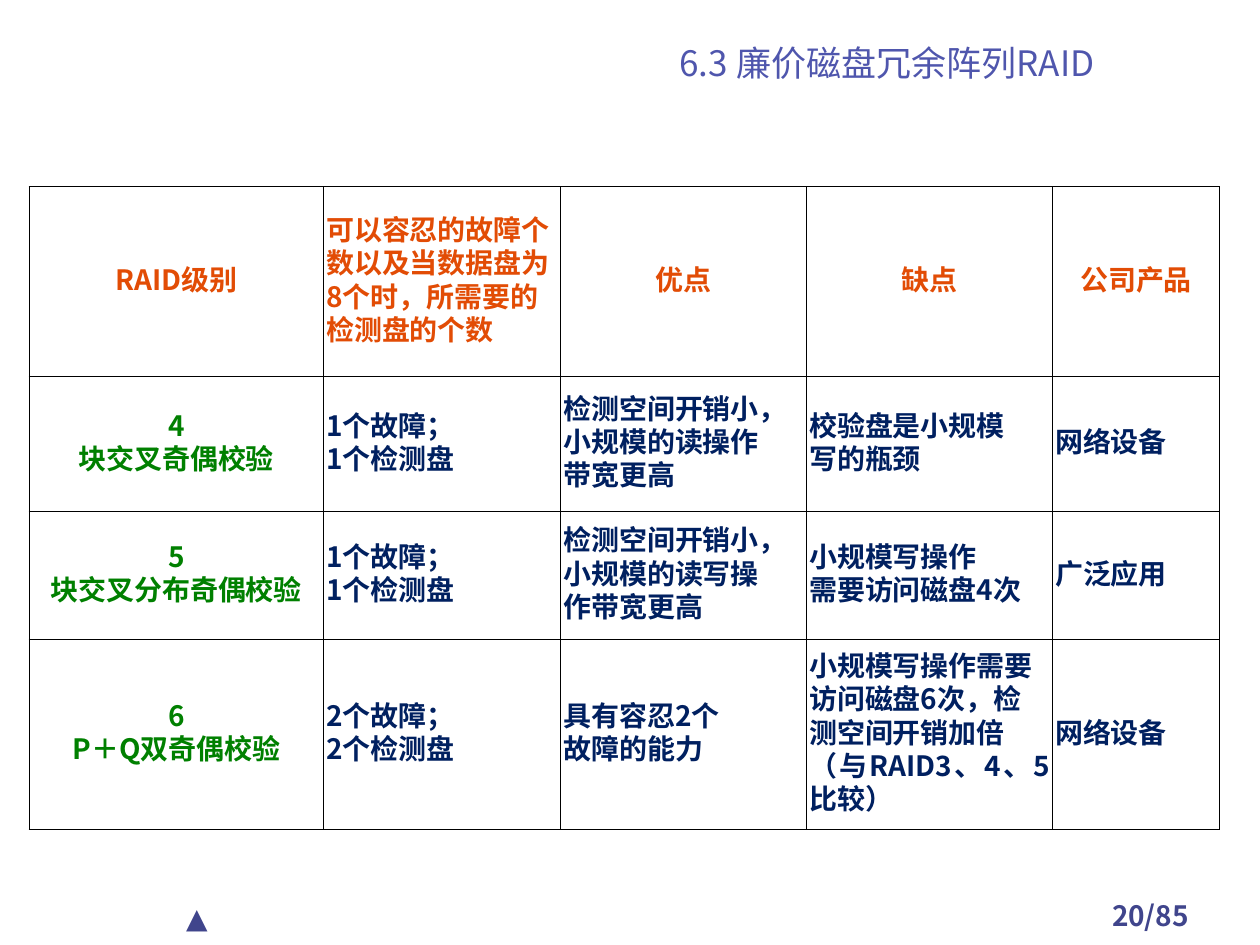
from typing import NamedTuple

from lxml.etree import SubElement as Sub
from pptx import Presentation
from pptx.dml.color import RGBColor
from pptx.enum.text import MSO_ANCHOR as Anchor, PP_ALIGN as Align
from pptx.oxml.ns import qn
from pptx.util import Pt

NAVY = RGBColor(0x00, 0x20, 0x60)
GREEN = RGBColor(0x00, 0x80, 0x00)
ORANGE = RGBColor(0xE2, 0x4C, 0x05)
BLUE = RGBColor(0x4F, 0x56, 0xAD)
INDIGO = RGBColor(0x40, 0x45, 0x8C)
BLACK = RGBColor(0, 0, 0)
NOTO = "Noto Sans CJK SC"

COLS = (168.5, 135.5, 140.5, 140.5, 95.5)
ROWS = (108.5, 77, 73.25, 108.5)
CELLS = (
    ("RAID级别", "可以容忍的故障个\n数以及当数据盘为\n8个时，所需要的\n检测盘的个数",
     "优点", "缺点", "公司产品"),
    ("4\n块交叉奇偶校验", "1个故障；\n1个检测盘",
     "检测空间开销小，\n小规模的读操作\n带宽更高",
     "校验盘是小规模\n写的瓶颈", "网络设备"),
    ("5\n块交叉分布奇偶校验", "1个故障；\n1个检测盘",
     "检测空间开销小，\n小规模的读写操\n作带宽更高",
     "小规模写操作\n需要访问磁盘4次", "广泛应用"),
    ("6\nP＋Q双奇偶校验", "2个故障；\n2个检测盘",
     "具有容忍2个\n故障的能力",
     "小规模写操作需要\n访问磁盘6次，检\n测空间开销加倍\n（与RAID3、4、5比较）", "网络设备"),
)


class Look(NamedTuple):
    color: RGBColor
    size: float = 16
    bold: bool = False
    face: str = NOTO
    align: Align = Align.CENTER
    lead: float | None = None


class Label(NamedTuple):
    text: str
    left: float
    top: float
    width: float
    height: float
    look: Look
    inset: float = 3.6
    anchor: Anchor = Anchor.TOP


LABELS = (
    Label("20/85", 606.25, 509.75, 102.25, 24, Look(INDIGO, bold=True)),
    Label("▲", 99.25, 511.25, 102.25, 26.5,
          Look(INDIGO, face="Cabin", align=Align.LEFT)),
    Label("6.3 廉价磁盘冗余阵列RAID", 306, 19.5, 401.75, 30.25,
          Look(BLUE, size=20), 2, Anchor.BOTTOM),
)


def put(frame, text: str, look: Look) -> None:
    """Write one paragraph per line of text."""
    frame.text = text
    for para in frame.paragraphs:
        para.alignment = look.align
        if look.lead:
            para.line_spacing = Pt(look.lead)
        for run in para.runs:
            style = {"size": Pt(look.size), "bold": look.bold, "name": look.face}
            for key, value in style.items():
                setattr(run.font, key, value)
            run.font.color.rgb = look.color
            Sub(run.font._element, qn("a:ea"), typeface=look.face)


def draw_label(slide, item: Label) -> None:
    box = slide.shapes.add_textbox(
        Pt(item.left), Pt(item.top), Pt(item.width), Pt(item.height))
    style = {"word_wrap": True, "vertical_anchor": item.anchor,
             "margin_top": Pt(item.inset), "margin_bottom": Pt(item.inset)}
    for key, value in style.items():
        setattr(box.text_frame, key, value)
    put(box.text_frame, item.text, item.look)


def edge(cell) -> None:
    """Rule all four sides of a cell."""
    props = cell._tc.get_or_add_tcPr()
    for spot, side in enumerate(("lnL", "lnR", "lnT", "lnB")):
        line = Sub(props, qn(f"a:{side}"), w=str(Pt(0.45)))
        Sub(Sub(line, qn("a:solidFill")), qn("a:srgbClr"), val=str(BLACK))
        props.insert(spot, line)


def cell_look(row: int, col: int) -> Look:
    color = ORANGE if row == 0 else GREEN if col == 0 else NAVY
    mid = col == 0 or (row == 0 and col != 1)
    return Look(color, bold=True, lead=19,
                align=Align.CENTER if mid else Align.JUSTIFY)


def draw_table(slide) -> None:
    table = slide.shapes.add_table(
        len(ROWS), len(COLS), Pt(16.5), Pt(106.75),
        Pt(sum(COLS)), Pt(sum(ROWS))).table
    table.first_row = table.horz_banding = False
    for col, width in zip(table.columns, COLS):
        col.width = Pt(width)
    for row, height in zip(table.rows, ROWS):
        row.height = Pt(height)
    style = {"vertical_anchor": Anchor.MIDDLE,
             "margin_left": Pt(1.5), "margin_right": Pt(1.5),
             "margin_top": Pt(3.6), "margin_bottom": Pt(3.6)}
    for r, texts in enumerate(CELLS):
        for c, text in enumerate(texts):
            cell = table.cell(r, c)
            for key, value in style.items():
                setattr(cell, key, value)
            cell.fill.background()
            edge(cell)
            put(cell.text_frame, text, cell_look(r, c))


def main() -> None:
    deck = Presentation()
    deck.slide_width, deck.slide_height = Pt(720), Pt(540)
    slide = deck.slides.add_slide(deck.slide_layouts[6])
    draw_table(slide)
    for item in LABELS:
        draw_label(slide, item)
    deck.save("out.pptx")


if __name__ == "__main__":
    main()
